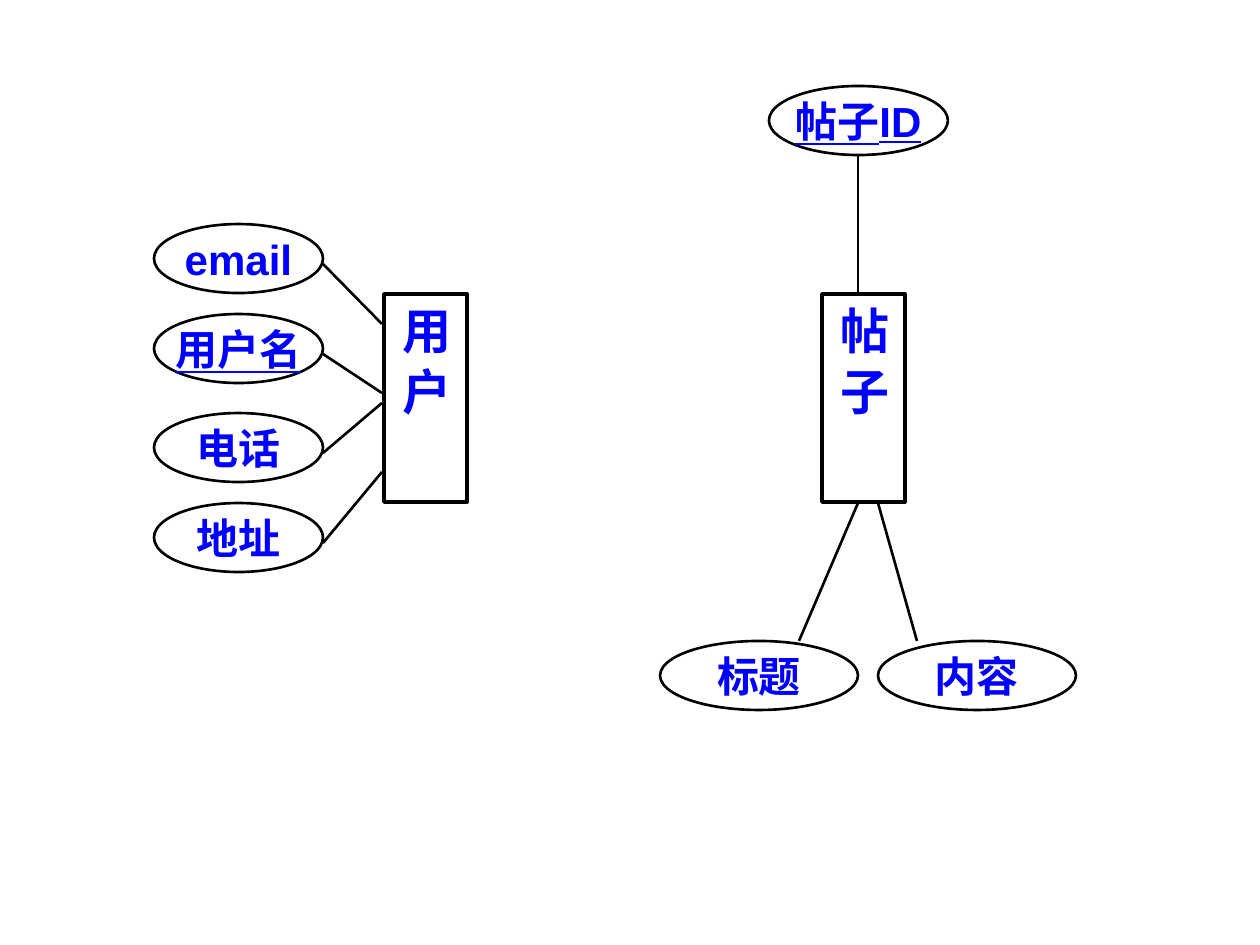
from dataclasses import dataclass

from lxml.etree import SubElement
from pptx import Presentation
from pptx.dml.color import RGBColor
from pptx.enum.shapes import MSO_CONNECTOR as Connector, MSO_SHAPE as Shape
from pptx.enum.text import MSO_ANCHOR as Anchor, PP_ALIGN as Align
from pptx.oxml.ns import qn
from pptx.util import Pt

PX = 914400 / 126


@dataclass(frozen=True)
class Theme:
    ink: RGBColor = RGBColor(0x00, 0x00, 0x00)
    text: RGBColor = RGBColor(0x00, 0x00, 0xFF)
    latin: str = "Arial"
    asian: str = "Noto Sans CJK SC"
    entity_size: int = 28
    attribute_size: int = 24
    entity_line: float = 2
    thin_line: float = 1.5


THEME = Theme()
ENTITY_SIZE = (83, 208)
ATTRIBUTE_HEIGHT = 69


def emu(*lengths):
    return [round(length * PX) for length in lengths]


def write_text(shape, text, size, underline=False, wrap=False, insets=(12, 6)):
    frame = shape.text_frame
    frame.word_wrap = wrap
    frame.vertical_anchor = Anchor.MIDDLE
    frame.margin_left = frame.margin_right = emu(insets[0])[0]
    frame.margin_top = frame.margin_bottom = emu(insets[1])[0]
    para = frame.paragraphs[0]
    para.alignment = Align.CENTER
    span = para.add_run()
    span.text = text
    font = span.font
    font.size, font.bold, font.underline = Pt(size), True, underline
    font.color.rgb = THEME.text
    font.name = THEME.latin
    SubElement(span._r.get_or_add_rPr(), qn("a:ea"), typeface=THEME.asian)


def add_outline(group, kind, box, width):
    shape = group.shapes.add_shape(kind, *emu(*box))
    shape.shadow.inherit = False
    shape.fill.background()
    shape.line.color.rgb = THEME.ink
    shape.line.width = Pt(width)
    return shape


def add_entity(group, left, top, text):
    """Draw an entity rectangle with its name running downwards."""
    shape = add_outline(group, Shape.RECTANGLE, (left, top, *ENTITY_SIZE), THEME.entity_line)
    write_text(shape, text, THEME.entity_size, wrap=True, insets=(11, 12))
    shape.text_frame._txBody.bodyPr.set("vert", "eaVert")


def add_attribute(group, left, top, width, text, key=False):
    """Draw an attribute ellipse; a key attribute is underlined."""
    box = (left, top, width, ATTRIBUTE_HEIGHT)
    shape = add_outline(group, Shape.OVAL, box, THEME.thin_line)
    write_text(shape, text, THEME.attribute_size, underline=key)


def add_link(group, *ends):
    line = group.shapes.add_connector(Connector.STRAIGHT, *emu(*ends))
    line.line.color.rgb = THEME.ink
    line.line.width = Pt(THEME.thin_line)
    SubElement(line._element.spPr, qn("a:effectLst"))


def add_user(page, left, top):
    """Place the user entity with its attributes stacked on the left."""
    group = page.shapes.add_group_shape()
    width = 169
    add_entity(group, left + 230, top + 70, "用 户")
    attributes = (
        ("email", 0, 100, False),
        ("用户名", 90, 169, True),
        ("电话", 189, 179, False),
        ("地址", 279, 248, False),
    )
    for text, offset, target, key in attributes:
        add_attribute(group, left, top + offset, width, text, key)
        add_link(group, left + width, top + offset + 40, left + 228, top + target)


def add_post(page, left, top):
    """Place the post entity with its key above and two attributes below."""
    group = page.shapes.add_group_shape()
    entity_top, lower_top = top + 208, top + 555
    entity_bottom = entity_top + ENTITY_SIZE[1] + 1
    add_entity(group, left + 162, entity_top, "帖 子")
    add_attribute(group, left + 109, top, 179, "帖子ID", key=True)
    add_link(group, left + 198, top + ATTRIBUTE_HEIGHT, left + 198, entity_top)
    for text, offset, start, end in (("标题", 0, 198, 139), ("内容", 218, 218, 257)):
        add_attribute(group, left + offset, lower_top, 198, text)
        add_link(group, left + start, entity_bottom, left + end, lower_top)


def main():
    deck = Presentation()
    deck.slide_width, deck.slide_height = emu(1260, 945)
    page = deck.slides.add_slide(deck.slide_layouts[6])
    add_user(page, 154, 224)
    add_post(page, 660, 86)
    deck.save("out.pptx")


if __name__ == "__main__":
    main()
